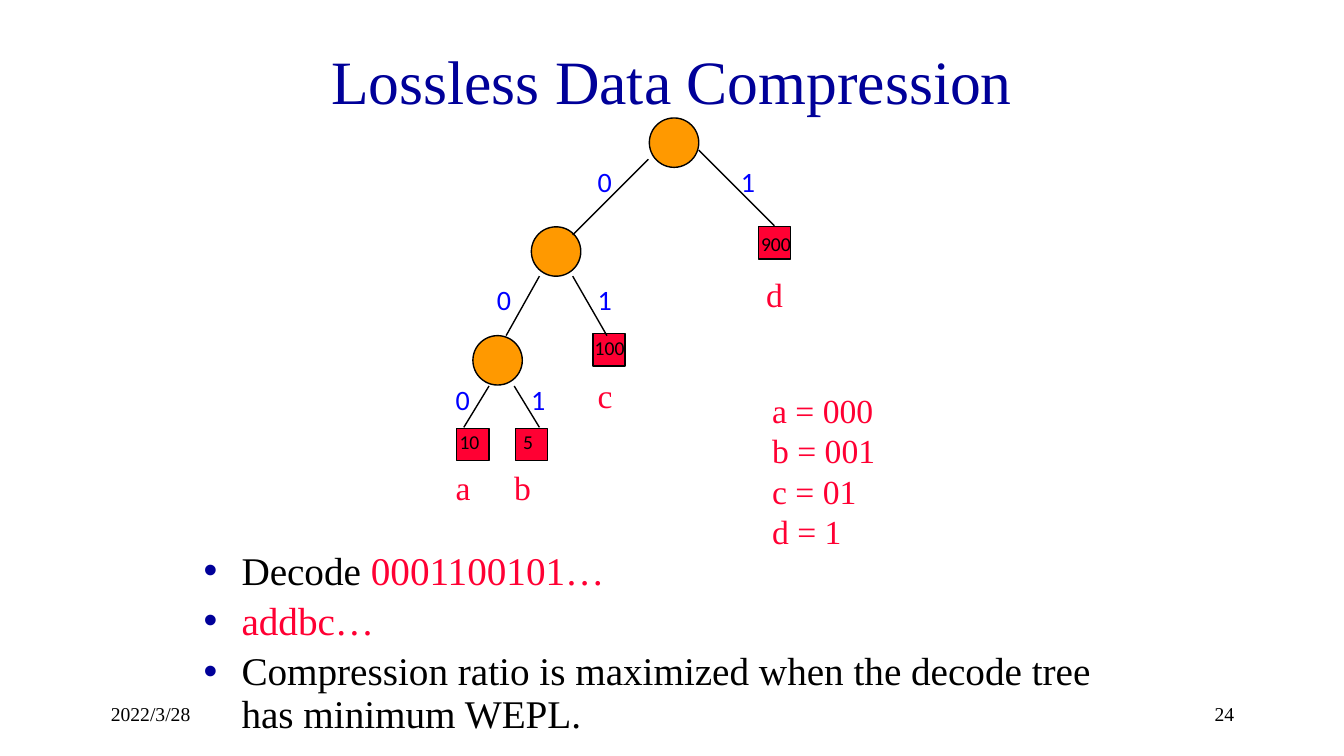
from collections import namedtuple
from dataclasses import dataclass

from lxml import etree
from pptx import Presentation
from pptx.dml.color import RGBColor
from pptx.enum import shapes as shp, text as txt
from pptx.oxml import ns
from pptx.util import Inches, Pt

Box = namedtuple("Box", "left top width height")


@dataclass(frozen=True)
class Theme:
    serif: str = "Times New Roman"
    sans: str = "Calibri"
    navy: str = "000099"
    black: str = "000000"
    red: str = "FF0033"
    orange: str = "FF9900"
    blue: str = "0000FF"
    title: int = 44
    body: int = 28
    code: int = 24
    bit: int = 20
    small: int = 14


THEME = Theme()
NODE_SIZE, LEAF_SIZE = 0.49, 0.32

# Tree geometry, measured from the top left corner of the tree's box
NODES = [(2.02, 0), (0.85, 1.08), (0.27, 2.16)]
# Each branch: start, end, bit, place of the bit
BRANCHES = [
    ((2.01, 0.41), (1.26, 1.16), "0", (1.41, 0.41)),
    ((2.51, 0.32), (3.26, 1.07), "1", (2.83, 0.41)),
    ((0.93, 1.57), (0.60, 2.16), "0", (0.41, 1.58)),
    ((1.26, 1.57), (1.60, 2.16), "1", (1.41, 1.58)),
    ((0.43, 2.66), (0.18, 3.07), "0", (0, 2.58)),
    ((0.68, 2.66), (0.93, 3.07), "1", (0.75, 2.58)),
]
# Each leaf: corner, weight, place of the weight, letter, place of the letter
LEAVES = [
    ((0.11, 3.08), "10", (0.04, 3.05), "a", (0, 3.41)),
    ((0.69, 3.08), "5", (0.67, 3.05), "b", (0.58, 3.41)),
    ((1.46, 2.14), "100", (1.38, 2.11), "c", (1.41, 2.50)),
    ((3.10, 1.08), "900", (3.03, 1.08), "d", (3.08, 1.50)),
]


def set_all(target, values):
    for name, value in values.items():
        setattr(target, name, value)


def place(shape, box):
    set_all(shape, {name: Inches(v) for name, v in box._asdict().items()})


def add_run(paragraph, words, size, color, face=THEME.serif):
    run = paragraph.add_run()
    run.text = words
    set_all(run.font, {"size": Pt(size), "name": face})
    run.font.color.rgb = RGBColor.from_string(color)


def add_label(slide, box, lines, size, color, face=THEME.serif, **frame_format):
    frame = slide.shapes.add_textbox(*map(Inches, box)).text_frame
    set_all(frame, {"word_wrap": True, **frame_format})
    for number, line in enumerate(lines):
        paragraph = frame.add_paragraph() if number else frame.paragraphs[0]
        add_run(paragraph, line, size, color, face)
    return frame


def add_mark(slide, kind, left, top, size, fill):
    mark = slide.shapes.add_shape(kind, *map(Inches, (left, top, size, size)))
    mark.shadow.inherit = False
    mark.fill.solid()
    mark.fill.fore_color.rgb = RGBColor.from_string(fill)
    mark.line.color.rgb = RGBColor.from_string(THEME.black)
    mark.line.width = Pt(1)


def add_branch(slide, start, end):
    branch = slide.shapes.add_connector(
        shp.MSO_CONNECTOR.STRAIGHT, *map(Inches, (*start, *end)))
    branch.line.color.rgb = RGBColor.from_string(THEME.black)
    branch.line.width = Pt(1)
    etree.SubElement(branch._element.spPr, ns.qn("a:effectLst"))


def add_title(slide, box):
    title = slide.shapes.title
    place(title, box)
    set_all(title.text_frame, {"vertical_anchor": txt.MSO_ANCHOR.MIDDLE,
                               "auto_size": txt.MSO_AUTO_SIZE.NONE})
    add_run(title.text_frame.paragraphs[0], "Lossless Data Compression",
            THEME.title, THEME.navy)


def add_bullets(slide, box):
    body = slide.placeholders[1]
    place(body, box)
    frame = body.text_frame
    frame.auto_size = txt.MSO_AUTO_SIZE.NONE
    bullets = [
        [("Decode ", THEME.black), ("0001100101…", THEME.red)],
        [("addbc…", THEME.red)],
        [("Compression ratio is maximized when the decode tree has minimum WEPL.",
          THEME.black)],
    ]
    for number, parts in enumerate(bullets):
        paragraph = frame.add_paragraph() if number else frame.paragraphs[0]
        paragraph.line_spacing = 0.9
        bullet_color = etree.SubElement(paragraph._p.get_or_add_pPr(), ns.qn("a:buClr"))
        etree.SubElement(bullet_color, ns.qn("a:srgbClr"), val=THEME.navy)
        for words, color in parts:
            add_run(paragraph, words, THEME.body, color)


def add_tree(slide, box):
    def at(point):
        return box.left + point[0], box.top + point[1]

    # Leaves and inner nodes
    for corner, *_ in LEAVES:
        add_mark(slide, shp.MSO_SHAPE.RECTANGLE, *at(corner), LEAF_SIZE, THEME.red)
    for corner in NODES:
        add_mark(slide, shp.MSO_SHAPE.OVAL, *at(corner), NODE_SIZE, THEME.orange)
    # Branches with their bits
    for start, end, bit, bit_at in BRANCHES:
        add_branch(slide, at(start), at(end))
        add_label(slide, Box(*at(bit_at), 0.5, 0.43), [bit],
                  THEME.bit, THEME.blue, THEME.sans)
    # Weights and letters of the leaves
    for _, weight, weight_at, letter, letter_at in LEAVES:
        add_label(slide, Box(*at(weight_at), 0.63, 0.34), [weight],
                  THEME.small, THEME.black, THEME.sans)
        add_label(slide, Box(*at(letter_at), 0.67, 0.5), [letter],
                  THEME.code, THEME.red)


def add_codes(slide, box):
    add_label(slide, box, ["a = 000", "b = 001", "c = 01", "d = 1"],
              THEME.code, THEME.red)


def add_footer(slide, box):
    width = 2.78
    entries = [("2022/3/28", box.left, txt.PP_ALIGN.LEFT),
               ("24", box.left + box.width - width, txt.PP_ALIGN.RIGHT)]
    for words, left, alignment in entries:
        frame = add_label(slide, Box(left, box.top, width, box.height), [words],
                          THEME.small, THEME.black,
                          vertical_anchor=txt.MSO_ANCHOR.MIDDLE)
        frame.paragraphs[0].alignment = alignment


def main():
    deck = Presentation()
    set_all(deck, {"slide_width": Inches(13.33), "slide_height": Inches(7.5)})
    slide = deck.slides.add_slide(deck.slide_layouts[1])
    add_title(slide, Box(1, 0.17, 11.33, 1.25))
    add_bullets(slide, Box(1.92, 5.42, 9.5, 1.83))
    add_tree(slide, Box(4.42, 1.17, 3.75, 3.91))
    add_codes(slide, Box(7.56, 3.82, 1.39, 1.72))
    add_footer(slide, Box(1, 6.83, 11.34, 0.5))
    deck.save("out.pptx")


if __name__ == "__main__":
    main()
